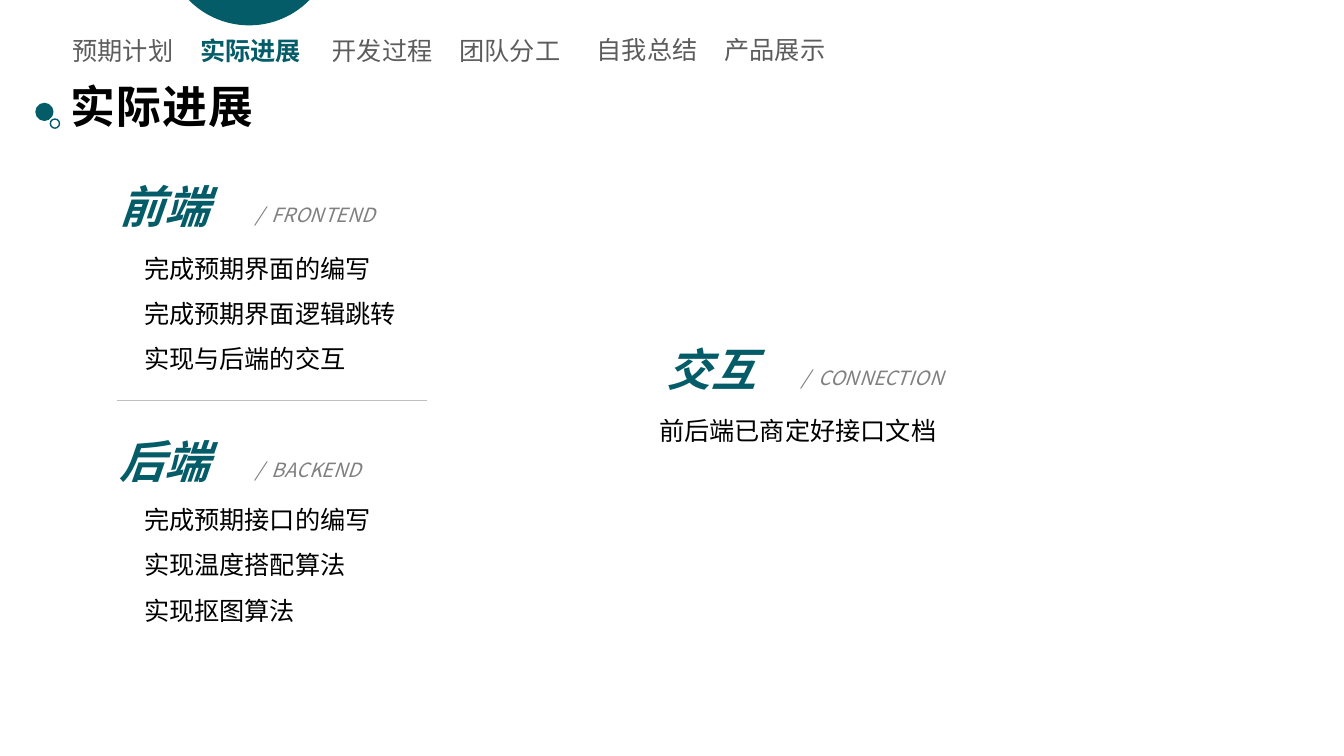
import math

import pptx
import pptx.dml.color
import pptx.enum.shapes
import pptx.enum.text
import pptx.oxml
import pptx.oxml.ns
import pptx.util
from lxml import etree

Cm = pptx.util.Cm
Pt = pptx.util.Pt
ALIGN = pptx.enum.text.PP_ALIGN
SHAPE = pptx.enum.shapes.MSO_SHAPE
qn = pptx.oxml.ns.qn

FONT = "Noto Sans CJK SC"
COLORS = {"teal": "035C67", "black": "000000", "gray": "808080",
          "rule": "BFBFBF", "white": "FFFFFF"}


def rgb(name):
    return pptx.dml.color.RGBColor.from_string(COLORS[name])


def write(box, text, size=18, color="black", bold=False, italic=False,
          align=ALIGN.LEFT, level=0, line_spacing=None, tracking=0,
          opacity=100, inset=None, wrap=True):
    """Fill the box with one paragraph per line of text, all formatted alike."""
    frame = box.text_frame
    frame.word_wrap = wrap
    frame.auto_size = pptx.enum.text.MSO_AUTO_SIZE.NONE
    frame.vertical_anchor = pptx.enum.text.MSO_ANCHOR.TOP
    if inset is not None:
        frame.margin_left = frame.margin_right = inset
        frame.margin_top = frame.margin_bottom = inset
    for index, line in enumerate(text.split("\n")):
        para = frame.add_paragraph() if index else frame.paragraphs[0]
        para.alignment = align
        para.level = level
        if line_spacing:
            para.line_spacing = line_spacing
        span = para.add_run()
        span.text = line
        span.font.size = Pt(size)
        span.font.bold = bold
        span.font.italic = italic
        span.font.name = FONT
        span.font.color.rgb = rgb(color)
        properties = span.font._element
        etree.SubElement(properties, qn("a:ea"), typeface=FONT)
        if tracking:
            properties.set("spc", str(tracking * 100))
        if opacity < 100:
            fill = properties.find(".//" + qn("a:srgbClr"))
            etree.SubElement(fill, qn("a:alpha"), val=str(opacity * 1000))


def add_text(page, left, top, width, height, text, **style):
    box = page.shapes.add_textbox(Cm(left), Cm(top), Cm(width), Cm(height))
    write(box, text, **style)


def paint(shape, fill, line=None):
    shape.shadow.inherit = False
    shape.fill.solid()
    shape.fill.fore_color.rgb = rgb(fill)
    if line:
        shape.line.color.rgb = rgb(line)
        shape.line.width = Pt(1)
    else:
        shape.line.fill.background()


def add_top_arc(page, center, depth, radius):
    """Draw the part of a circle that hangs below the top edge of the page."""
    middle = depth - radius
    half = math.acos(-middle / radius)
    steps = 48
    angles = [half * (1 - 2 * step / steps) for step in range(steps + 1)]
    points = [(Cm(center + radius * math.sin(angle)),
               Cm(middle + radius * math.cos(angle))) for angle in angles]
    builder = page.shapes.build_freeform(*points[0])
    builder.add_line_segments(points[1:], close=True)
    paint(builder.convert_to_shape(), "teal")


def add_navigation(page, current):
    pairs = [(1.5, 0.89, ("预期计划", "实际进展")),
             (8.03, 0.89, ("开发过程", "团队分工")),
             (14.71, 0.86, ("自我总结", "产品展示"))]
    for left, top, labels in pairs:
        for index, label in enumerate(labels):
            active = label == current
            add_text(page, left + 3.22 * index, top, 3.2, 0.76, label,
                     color="teal" if active else "black", bold=active,
                     opacity=100 if active else 63,
                     align=ALIGN.CENTER, inset=0)


def add_title(page, left, top, text):
    title = page.shapes.title
    title.left, title.top = Cm(left + 0.63), Cm(top)
    title.width, title.height = Cm(5.92), Cm(1.63)
    write(title, text, size=32, bold=True, tracking=1)
    dots = [(0, 0.74, 0.46, "teal", None), (0.38, 1.15, 0.23, "white", "teal")]
    for across, down, size, fill, line in dots:
        dot = page.shapes.add_shape(SHAPE.OVAL, Cm(left + across),
                                    Cm(top + down), Cm(size), Cm(size))
        paint(dot, fill, line)


def add_section(page, left, top, heading, label, items, body_shift,
                body_drop, body_width, level=1):
    add_text(page, left, top, 2.77, 1.63, heading, size=32, color="teal",
             bold=True, italic=True, wrap=False)
    add_text(page, left + 3.42, top + 0.61, 5, 0.86, "/  " + label, size=14,
             color="gray", italic=True)
    add_text(page, left + body_shift, top + body_drop, body_width,
             0.25 + 1.15 * len(items), "\n".join(items),
             level=level, line_spacing=1.5)


def add_rule(page, left, top, width):
    rule = page.shapes.add_connector(
        pptx.enum.shapes.MSO_CONNECTOR.STRAIGHT,
        Cm(left), Cm(top), Cm(left + width), Cm(top))
    rule.line.color.rgb = rgb("rule")
    rule.line.width = Pt(0.5)
    etree.SubElement(rule._element.spPr, qn("a:effectLst"))


def add_progress_slide(deck):
    page = deck.slides.add_slide(deck.slide_layouts[5])
    add_top_arc(page, center=6.28, depth=0.64, radius=2.13)
    add_navigation(page, current="实际进展")
    add_title(page, 0.89, 1.85, "实际进展")
    add_section(page, 2.77, 4.39, "前端", "FRONTEND",
                ["完成预期界面的编写", "完成预期界面逻辑跳转", "实现与后端的交互"],
                body_shift=-0.66, body_drop=1.48, body_width=8.81)
    add_rule(page, 2.95, 10.08, 7.8)
    add_section(page, 2.77, 10.8, "后端", "BACKEND",
                ["完成预期接口的编写", "实现温度搭配算法", "实现抠图算法"],
                body_shift=-0.66, body_drop=1.4, body_width=8.41)
    add_section(page, 16.54, 8.48, "交互", "CONNECTION",
                ["前后端已商定好接口文档"],
                body_shift=-0.18, body_drop=1.48, body_width=8.1, level=0)


def main():
    deck = pptx.Presentation()
    deck.slide_width, deck.slide_height = Cm(33.87), Cm(19.05)
    add_progress_slide(deck)
    deck.save("out.pptx")


if __name__ == "__main__":
    main()
